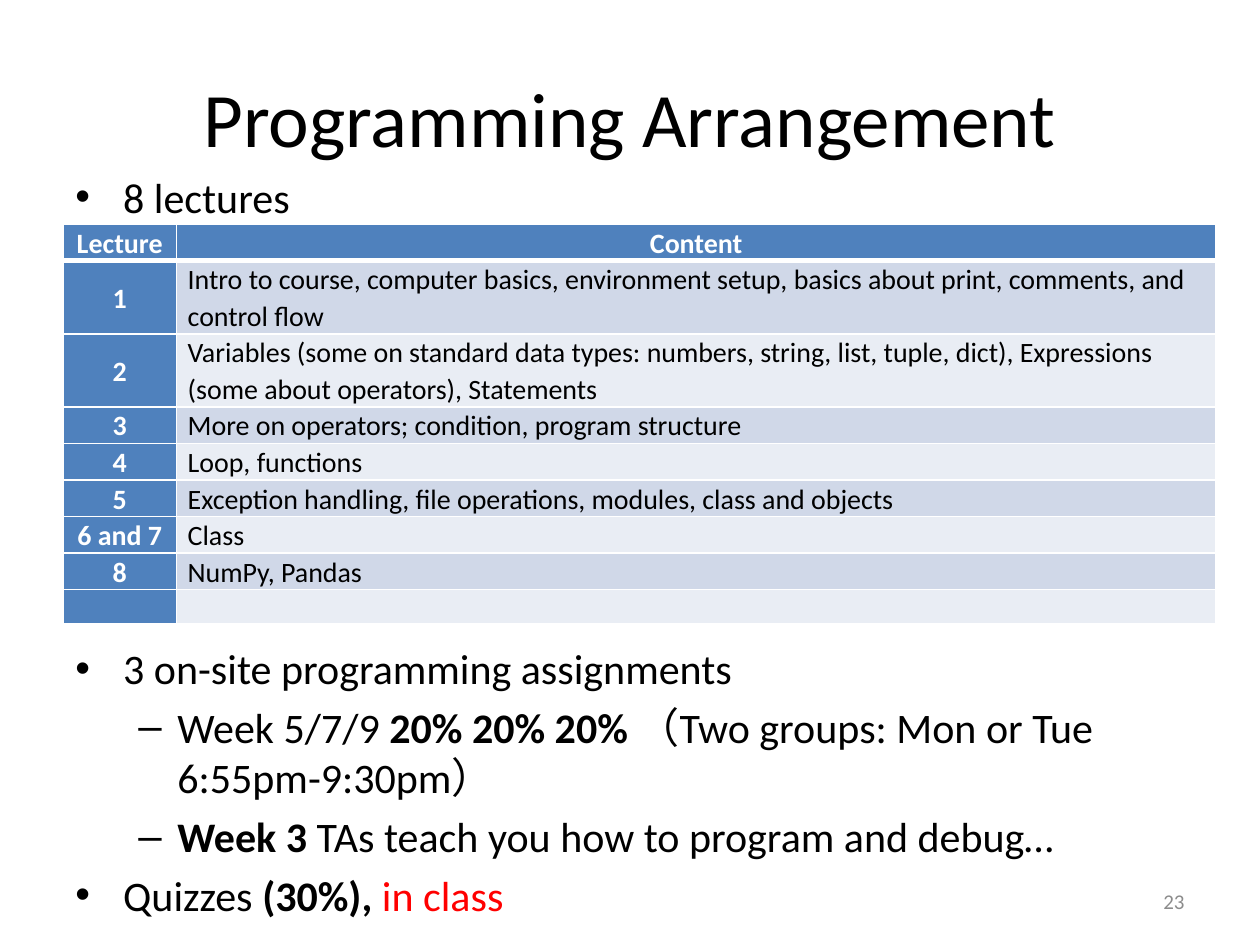
from lxml import etree
from pptx import Presentation
from pptx import util as u
from pptx.dml.color import RGBColor
from pptx.enum import text
from pptx.oxml.ns import qn

COLORS = {"ink": "000000", "white": "FFFFFF", "accent": "FF0000", "page": "8C8C8C",
          "head": "4F81BD", "odd": "D0D8E8", "even": "E9EDF4"}
FONT = "Calibri"
COL, ROW = u.Inches(0.1), u.Inches(0.05)  # grid of 100 columns by 150 rows
CENTER, RIGHT = text.PP_ALIGN.CENTER, text.PP_ALIGN.RIGHT
MIDDLE, TOP = text.MSO_ANCHOR.MIDDLE, text.MSO_ANCHOR.TOP

LECTURES = [
    ("Lecture", "Content"),
    ("1", "Intro to course, computer basics, environment setup, basics about print, "
          "comments, and control flow"),
    ("2", "Variables (some on standard data types: numbers, string, list, tuple, dict), "
          "Expressions (some about operators), Statements"),
    ("3", "More on operators; condition, program structure"),
    ("4", "Loop, functions"),
    ("5", "Exception handling, file operations, modules, class and objects"),
    ("6 and 7", "Class"),
    ("8", "NumPy, Pandas"),
    ("", ""),
]
LINE_ROWS = 5.8  # grid rows for one line of table text
TWO_LINE_LECTURES = (1, 2)

# Each bullet: level, then runs of (words, bold, colour)
OVERVIEW = [(0, [("8 lectures", False, "ink")])]
GRADING = [
    (0, [("3 on-site programming assignments", False, "ink")]),
    (1, [("Week 5/7/9 ", False, "ink"), ("20% 20% 20% ", True, "ink"),
         ("（Two groups: Mon or Tue 6:55pm-9:30pm）", False, "ink")]),
    (1, [("Week 3 ", True, "ink"),
         ("TAs teach you how to program and debug…", False, "ink")]),
    (0, [("Quizzes ", False, "ink"), ("(30%), ", True, "ink"),
         ("in class", False, "accent")]),
]
BULLETS = [("•", 0.38, 0.38), ("–", 0.81, 0.31)]  # sign, indent, hang in inches


def rgb(name):
    return RGBColor.from_string(COLORS[name])


def grid(left, top, width, height):
    return [int(n) for n in (left * COL, top * ROW, width * COL, height * ROW)]


def add_run(paragraph, words, size, color="ink", bold=False):
    run = paragraph.add_run()
    run.text = words
    run.font.name, run.font.size, run.font.bold = FONT, u.Pt(size), bold
    run.font.color.rgb = rgb(color)


def add_frame(slide, place, anchor=TOP):
    frame = slide.shapes.add_textbox(*grid(*place)).text_frame
    frame.word_wrap = True
    frame.vertical_anchor = anchor
    return frame


def add_label(slide, place, words, size, align, color="ink"):
    paragraph = add_frame(slide, place, MIDDLE).paragraphs[0]
    paragraph.alignment = align
    add_run(paragraph, words, size, color)


def add_bullets(slide, place, items):
    frame = add_frame(slide, place)
    for i, (level, runs) in enumerate(items):
        paragraph = frame.add_paragraph() if i else frame.paragraphs[0]
        sign, indent, hang = BULLETS[level]
        paragraph.level = level
        props = paragraph._p.get_or_add_pPr()
        props.set("marL", str(u.Inches(indent)))
        props.set("indent", str(-u.Inches(hang)))
        etree.SubElement(props, qn("a:buFont"), typeface="Arial")
        etree.SubElement(props, qn("a:buChar"), char=sign)
        paragraph.space_before = u.Pt(4.8 if i else 0)
        for words, bold, color in runs:
            add_run(paragraph, words, 24, color, bold)


def add_borders(cell, bottom):
    props = cell._tc.get_or_add_tcPr()
    for side, points in (("L", 1), ("R", 1), ("T", 1), ("B", bottom)):
        line = etree.SubElement(props, qn(f"a:ln{side}"), w=str(u.Pt(points)))
        fill = etree.SubElement(line, qn("a:solidFill"))
        etree.SubElement(fill, qn("a:srgbClr"), val=COLORS["white"])


def fill_cell(cell, words, row, col):
    is_head = row == 0 or col == 0
    add_borders(cell, 3 if row == 0 else 1)
    cell.fill.solid()
    cell.fill.fore_color.rgb = rgb("head" if is_head else "odd" if row % 2 else "even")
    cell.margin_left = cell.margin_right = u.Inches(0.09)
    cell.margin_top = cell.margin_bottom = 0
    cell.vertical_anchor = MIDDLE if col == 0 else TOP
    paragraph = cell.text_frame.paragraphs[0]
    if words:
        paragraph.line_spacing = 1.07
        if is_head:
            paragraph.alignment = CENTER
        add_run(paragraph, words, 16, "white" if is_head else "ink", is_head)
    else:  # keeps the empty row as low as the table text
        etree.SubElement(paragraph._p, qn("a:endParaRPr"), sz="1600")


def add_lecture_table(slide):
    heights = [LINE_ROWS * (2 if i in TWO_LINE_LECTURES else 1)
               for i in range(len(LECTURES))]
    heights[-1] = 5.4
    place = grid(5, 35.6, 91.5, sum(heights))
    table = slide.shapes.add_table(len(LECTURES), 2, *place).table
    table.horz_banding = False
    for column, width in zip(table.columns, (9, 82.5)):
        column.width = int(width * COL)
    for i, lecture in enumerate(LECTURES):
        table.rows[i].height = int(heights[i] * ROW)
        for j, words in enumerate(lecture):
            fill_cell(table.cell(i, j), words, i, j)


def main():
    deck = Presentation()
    deck.slide_width, deck.slide_height = 100 * COL, 150 * ROW
    slide = deck.slides.add_slide(deck.slide_layouts[6])

    # Heading and page number
    add_label(slide, (5, 6, 90, 25), "Programming Arrangement", 44, CENTER)
    add_label(slide, (71.7, 139, 23.3, 8), "23", 12, RIGHT, "page")

    # Bullets above and below the lecture plan
    add_bullets(slide, (5, 26.2, 90, 9), OVERVIEW)
    add_bullets(slide, (5, 101, 90, 45), GRADING)
    add_lecture_table(slide)

    deck.save("out.pptx")


if __name__ == "__main__":
    main()
